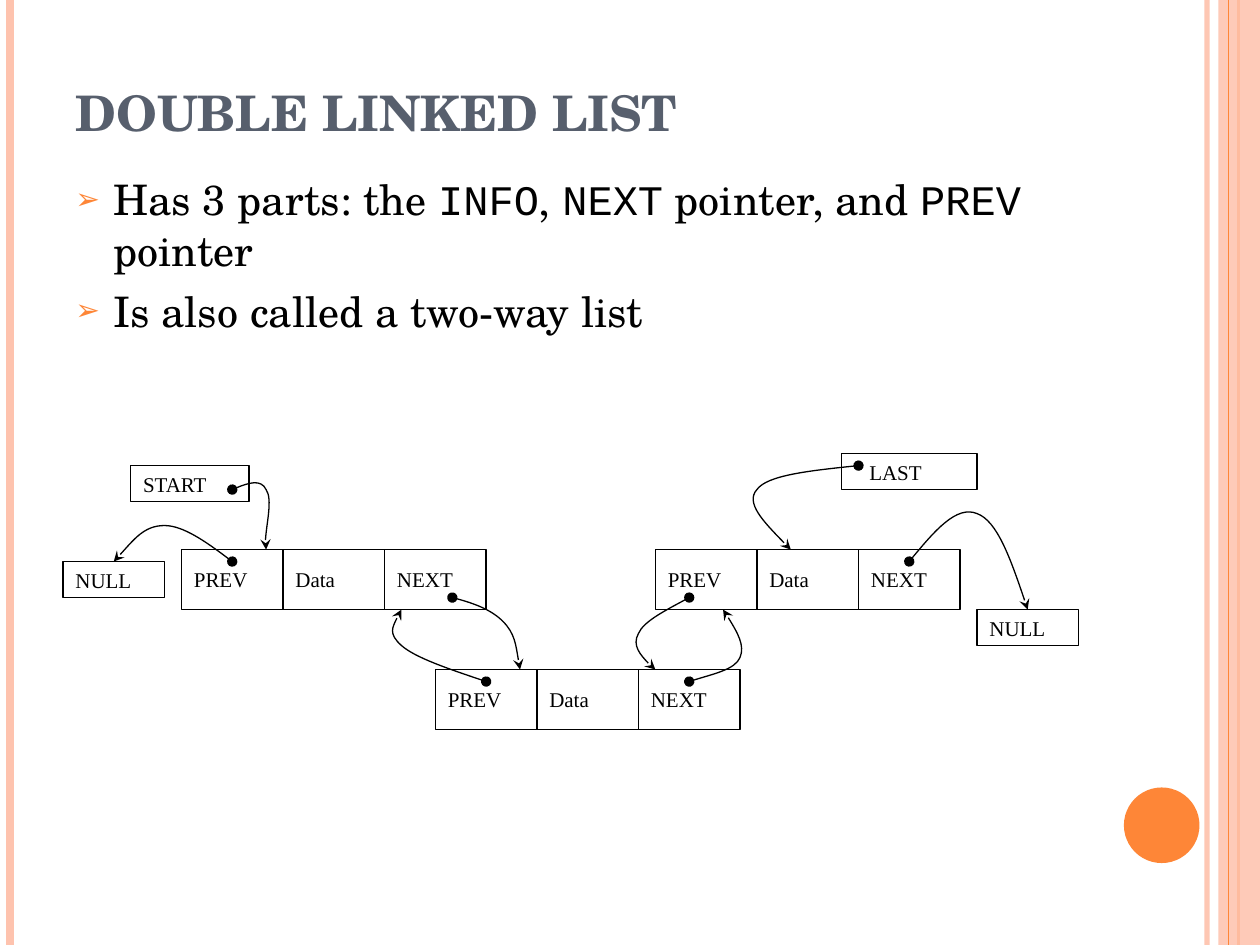
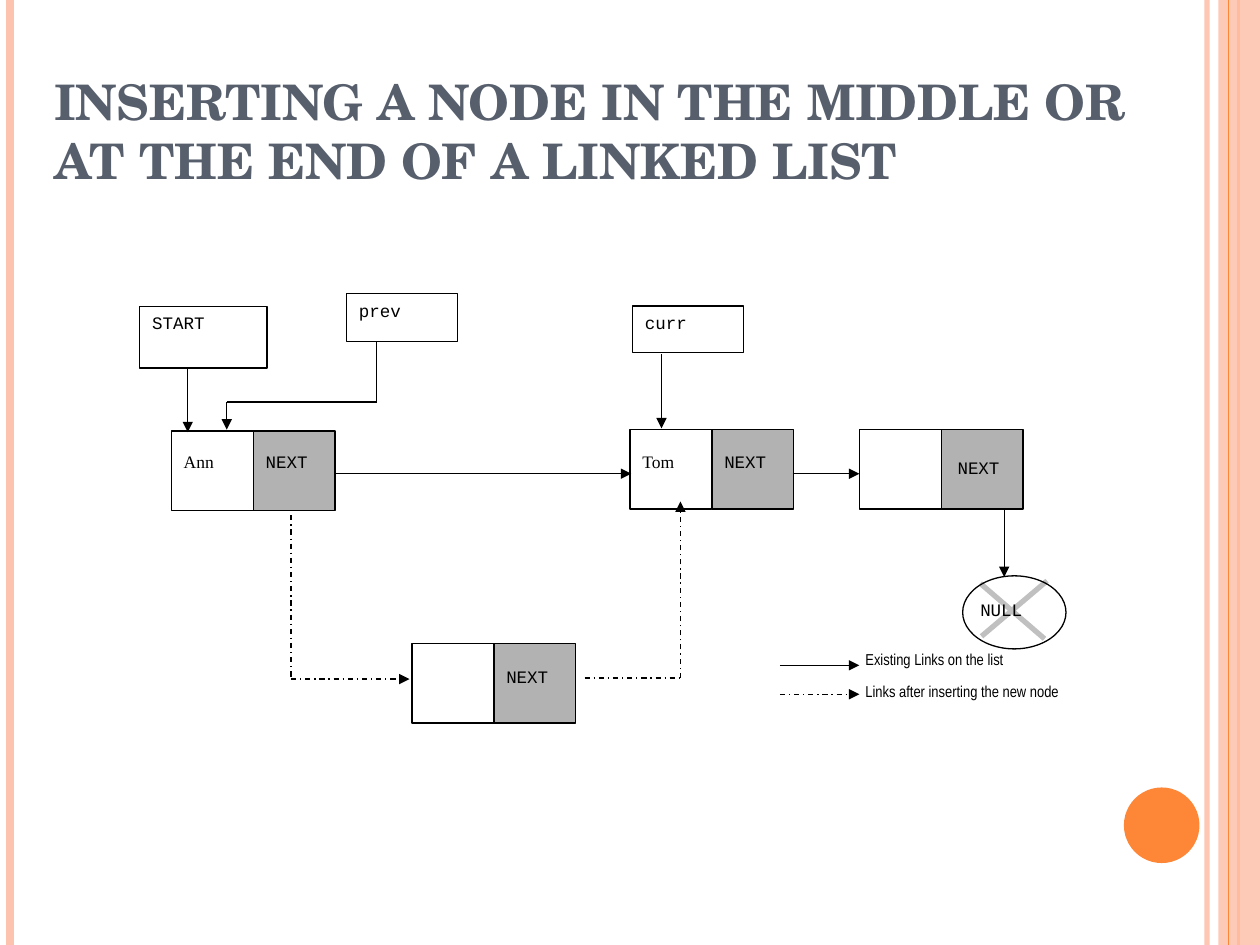
from lxml import etree
from pptx import Presentation
from pptx.dml.color import RGBColor
from pptx.enum.dml import MSO_LINE
from pptx.enum.shapes import MSO_CONNECTOR, MSO_SHAPE
from pptx.enum.text import MSO_ANCHOR, MSO_AUTO_SIZE, PP_ALIGN
from pptx.oxml.ns import qn
from pptx.util import Inches, Pt

RECT, ELLIPSE = MSO_SHAPE.RECTANGLE, MSO_SHAPE.OVAL
STRAIGHT = MSO_CONNECTOR.STRAIGHT
SOLID, DASH_DOT = MSO_LINE.SOLID, MSO_LINE.DASH_DOT
LEFT, TOP, MIDDLE, BOTTOM = PP_ALIGN.LEFT, MSO_ANCHOR.TOP, MSO_ANCHOR.MIDDLE, MSO_ANCHOR.BOTTOM
NO_AUTOFIT = MSO_AUTO_SIZE.NONE
rgb = RGBColor.from_string

BLACK, WHITE, GREY, SILVER = "000000", "FFFFFF", "B2B2B2", "C0C0C0"
ORANGE, PEACH, SLATE = "FE8637", "FEC3AE", "575F6D"
SERIF, MONO, TIMES, NARROW = "TeX Gyre Schola", "Courier New", "Times New Roman", "Arial Narrow"

# Grids: left, top, column width, row height in inches
TENTHS = (0, 0, 0.1, 0.1)
LIST_GRID = (0.5, 3.6, 8.06 / 60, 2.19 / 23)


def draw_box(slide, grid, area, text="", fill=WHITE, line=BLACK, kind=RECT,
             font=MONO, size=10, left=0.1, top=0.05, anchor=TOP):
    """Draw a shape on a grid area (column, row, columns, rows) with its label."""
    x0, y0, column, row = grid
    x, y, w, h = area
    box = slide.shapes.add_shape(kind, Inches(x0 + x * column), Inches(y0 + y * row),
                                 Inches(w * column), Inches(h * row))
    box.shadow.inherit = False
    for part, color in ((box.fill, fill), (box.line.fill, line)):
        if color:
            part.solid()
            part.fore_color.rgb = rgb(color)
        else:
            part.background()
    if line:
        box.line.width = Pt(0.75)
    if text:
        frame = box.text_frame
        frame_format = {"word_wrap": True, "vertical_anchor": anchor, "margin_left": Inches(left),
                        "margin_right": 0, "margin_top": Inches(top), "margin_bottom": Inches(0.05)}
        for key, value in frame_format.items():
            setattr(frame, key, value)
        label = frame.paragraphs[0]
        label.alignment = LEFT
        run = label.add_run()
        run.text = text
        run.font.name, run.font.size = font, Pt(size)
        run.font.color.rgb = rgb(BLACK)
    return box


def draw_line(slide, grid, points, color=BLACK, width=0.75, dash=SOLID, head=None, tail=None):
    """Draw a straight line through two points, or a Bezier curve through 3n + 1."""
    x0, y0, column, row = grid
    spots = [(Inches(x0 + x * column), Inches(y0 + y * row)) for x, y in points]
    if len(spots) == 2:
        link = slide.shapes.add_connector(STRAIGHT, *spots[0], *spots[1])
    else:
        builder = slide.shapes.build_freeform(*spots[0])
        builder.add_line_segments(spots[1:], close=False)
        link = builder.convert_to_shape()
        link.fill.background()
        # Turn every three straight segments into one cubic segment
        outline = next(link._element.iter(qn("a:path")))
        segments = outline.findall(qn("a:lnTo"))
        for start in range(0, len(segments), 3):
            cubic = etree.SubElement(outline, qn("a:cubicBezTo"))
            for segment in segments[start:start + 3]:
                cubic.append(segment[0])
                outline.remove(segment)
    link.line.color.rgb = rgb(color)
    link.line.width = Pt(width)
    link.line.dash_style = dash
    properties = link._element.spPr
    for tag, arrow in (("a:headEnd", head), ("a:tailEnd", tail)):
        if arrow:
            etree.SubElement(properties.find(qn("a:ln")), qn(tag), type=arrow)
    etree.SubElement(properties, qn("a:effectLst"))
    return link


prs = Presentation()
prs.slide_width, prs.slide_height = Inches(10), Inches(7.5)

# Shared bands, disc and title style
titles = [
    ("DOUBLE LINKED LIST", (0.5, 0.3, 8.17, 0.87)),
    ("INSERTING A NODE IN THE MIDDLE OR AT THE END OF A LINKED LIST", (0.33, 0.3, 8.75, 1.25)),
]
for heading, area in titles:
    slide = prs.slides.add_slide(prs.slide_layouts[5])
    stripes = [draw_line(slide, TENTHS, [(x, 0), (x, 75)], color, width)
               for x, color, width in ((95.8, PEACH, 3), (0.8, PEACH, 4.5), (98.3, ORANGE, 1.5))]
    band = draw_box(slide, TENTHS, (96.7, 0, 3.3, 75), fill=PEACH, line=None)
    draw_line(slide, TENTHS, [(97.5, 0), (97.5, 75)], ORANGE)
    draw_box(slide, TENTHS, (89.2, 62.5, 6, 6), fill=ORANGE, line=None, kind=ELLIPSE)
    for part, opacity in ((stripes[0], 93), (band, 87)):
        tint = next(part._element.spPr.iter(qn("a:srgbClr")))
        etree.SubElement(tint, qn("a:alpha"), val=str(opacity * 1000))

    title = slide.shapes.title
    title.left, title.top, title.width, title.height = map(Inches, area)
    frame = title.text_frame
    frame.text = heading
    frame.auto_size, frame.vertical_anchor, frame.word_wrap = NO_AUTOFIT, BOTTOM, True
    frame.paragraphs[0].alignment = LEFT
    title_format = {"name": SERIF, "size": Pt(28), "bold": True}
    for key, value in title_format.items():
        setattr(frame.paragraphs[0].runs[0].font, key, value)
    frame.paragraphs[0].runs[0].font.color.rgb = rgb(SLATE)

double_list, insertion = prs.slides

# Slide 1: bullet points; field names are in the monospaced font
facts = [
    [("Has 3 parts: the ", SERIF), ("INFO", MONO), (", ", SERIF), ("NEXT", MONO),
     (" pointer, and ", SERIF), ("PREV", MONO), (" pointer", SERIF)],
    [("Is also called a two-way list", SERIF)],
]
body = double_list.shapes.add_textbox(Inches(0.5), Inches(1.33), Inches(8.67), Inches(5.75))
body.text_frame.word_wrap = True
for number, fact in enumerate(facts):
    point = body.text_frame.add_paragraph() if number else body.text_frame.paragraphs[0]
    point.space_before = Pt(6)
    for words, font in fact:
        run = point.add_run()
        run.text = words
        run.font.name, run.font.size = font, Pt(24)
        run.font.color.rgb = rgb(BLACK)
    layout = point._p.get_or_add_pPr()
    layout.set("marL", str(Inches(0.3)))
    layout.set("indent", str(-Inches(0.3)))
    bullet_color = etree.SubElement(layout, qn("a:buClr"))
    etree.SubElement(bullet_color, qn("a:srgbClr"), val=ORANGE)
    etree.SubElement(layout, qn("a:buSzPct"), val="70000")
    etree.SubElement(layout, qn("a:buFont"), typeface="Arial")
    etree.SubElement(layout, qn("a:buChar"), char="➢")

# Slide 1: three nodes of three fields, then the outer pointers
for column, row in ((7, 8), (35, 8), (22, 18)):
    for position, field in enumerate(("PREV", "Data", "NEXT")):
        draw_box(double_list, LIST_GRID, (column + 6 * position, row, 6, 5), field,
                 font=TIMES, size=12, anchor=MIDDLE)
for name, area, indent in (("NULL", (0, 9, 6, 3), 0.1), ("NULL", (54, 13, 6, 3), 0.1),
                           ("START", (4, 1, 7, 3), 0.1), ("LAST", (46, 0, 8, 3), 0.22)):
    draw_box(double_list, LIST_GRID, area, name, font=TIMES, size=12, left=indent)

# Slide 1: curved links as start, control and end points
curves = [
    [(25, 19), (22.9, 18), (20.8, 17), (20, 16), (19.2, 15), (19.6, 14), (20, 13)],
    [(37, 19), (38.3, 18.4), (39.7, 18), (40, 17), (40.3, 16), (39.7, 14.5), (39, 13)],
    [(23, 12), (24.1, 12.4), (25.3, 13), (26, 14), (26.7, 15), (26.8, 16.4), (27, 18)],
    [(37, 12), (35.7, 13), (34.3, 14), (34, 15), (33.6, 16), (34.5, 17.5), (35, 18)],
    [(10, 9), (8.6, 7.5), (7.1, 6), (6, 6), (4.8, 6), (4, 7.5), (3, 9)],
    [(50, 9), (51.4, 6.6), (52.8, 4.3), (54, 5), (55.2, 5.6), (56.1, 9.2), (57, 13)],
    [(10, 3), (10.8, 2.5), (11.7, 2.1), (12, 3), (12.4, 3.8), (11.8, 7.2), (12, 8)],
    [(47, 1), (44.3, 1.4), (41.6, 1.8), (41, 3), (40.3, 4.1), (41.6, 6), (43, 8)],
]
for curve in curves:
    draw_line(double_list, LIST_GRID, curve, head="oval", tail="stealth")

# Slide 2: nodes of a data field and a NEXT field
nodes = [(13.6, 34.2, "Ann", 0.1, 0.16), (50, 34.1, "Tom", 0.1, 0.17),
         (68.2, 34.1, "", 0.13, 0.22), (32.7, 51.1, "", 0.1, 0.18)]
for x, y, data, left, top in nodes:
    draw_box(insertion, TENTHS, (x, y, 6.5, 6.3), data, font=TIMES, left=left, top=top)
    draw_box(insertion, TENTHS, (x + 6.5, y, 6.5, 6.3), "NEXT", fill=GREY, left=left, top=top)

# Slide 2: pointer variables
for pointer, area in (("START", (11.1, 24.3, 10.1, 4.9)), ("prev", (27.5, 23.3, 8.8, 3.8)),
                      ("curr", (50.2, 24.3, 8.8, 3.7))):
    draw_box(insertion, TENTHS, area, pointer)

# Slide 2: links as start, end, dash and arrowhead
links = [
    ((14.9, 29.3), (14.9, 34.3), SOLID, "triangle"),
    ((29.9, 27.1), (29.9, 31.9), SOLID, None),
    ((29.9, 31.9), (18, 31.9), SOLID, None),
    ((18, 31.9), (18, 34.1), SOLID, "triangle"),
    ((52.5, 28.1), (52.5, 34), SOLID, "triangle"),
    ((26.7, 37.6), (50.1, 37.6), SOLID, "triangle"),
    ((62.9, 37.6), (68.2, 37.6), SOLID, "triangle"),
    ((79.7, 40.5), (79.7, 45.8), SOLID, "triangle"),
    ((23.1, 40.9), (23.1, 53.9), DASH_DOT, None),
    ((23.1, 53.9), (32.5, 53.9), DASH_DOT, "triangle"),
    ((46.4, 53.8), (54, 53.8), DASH_DOT, None),
    ((54, 53.8), (54, 39.8), DASH_DOT, "triangle"),
]
for start, end, dash, arrow in links:
    draw_line(insertion, TENTHS, [start, end], dash=dash, tail=arrow)

# Slide 2: crossed-out NULL
for stroke in ([(77.9, 50.5), (83.1, 46.1)], [(82.9, 50.7), (77.8, 46.3)]):
    draw_line(insertion, TENTHS, stroke, SILVER, 3)
draw_box(insertion, TENTHS, (76.4, 45.7, 8.2, 5.8), "NULL", fill=None, kind=ELLIPSE,
         left=0.02, top=0.1)

# Slide 2: legend
for meaning, text_y, line_y, dash in (("Existing Links on the list", 51.1, 52.8, SOLID),
                                      ("Links after inserting the new node", 53.6, 55.1, DASH_DOT)):
    draw_line(insertion, TENTHS, [(61.9, line_y), (68.2, line_y)], dash=dash, tail="triangle")
    draw_box(insertion, TENTHS, (67.7, text_y, 22.1, 3.8), meaning, fill=None, line=None,
             font=NARROW, size=9)

prs.save("out.pptx")
